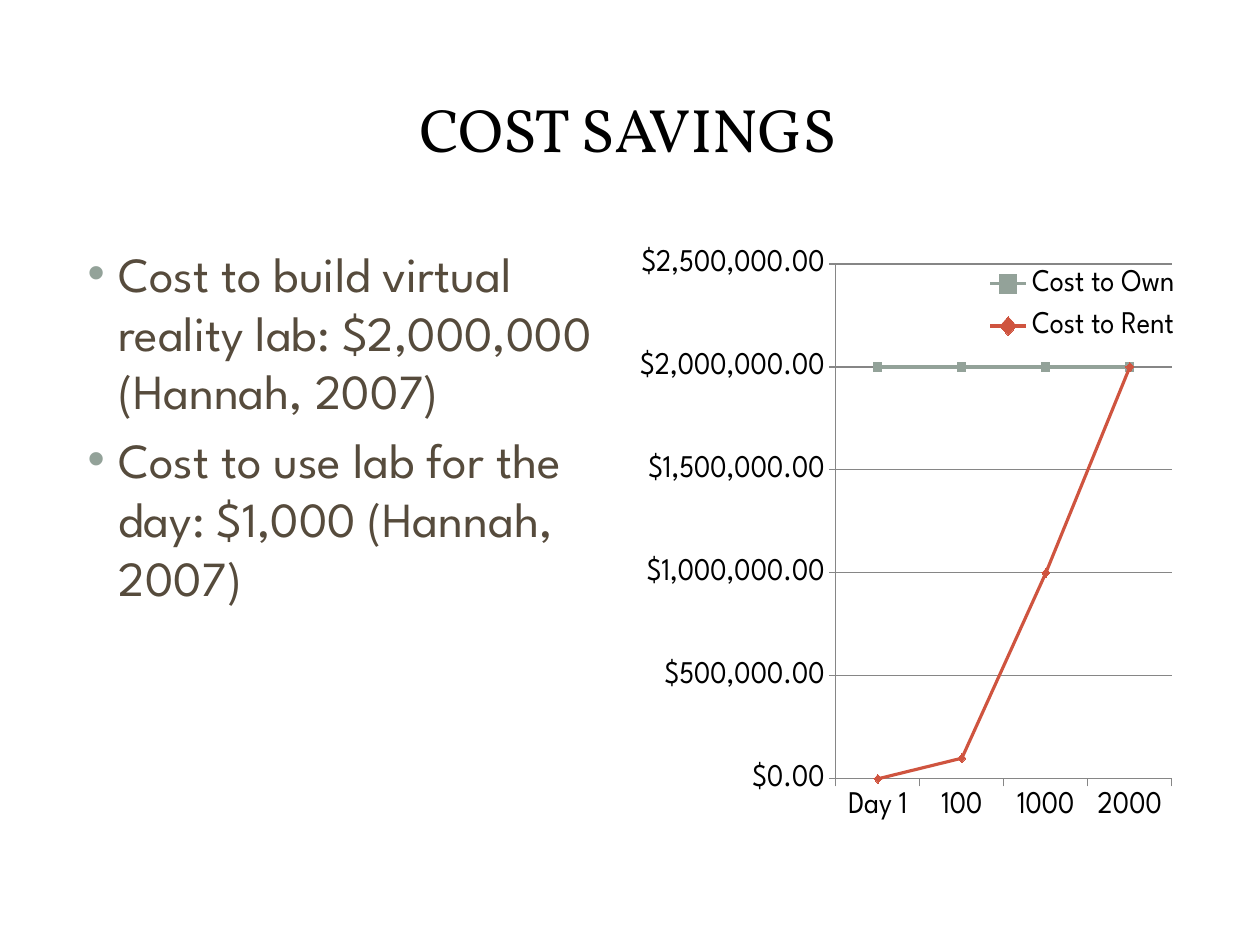
from dataclasses import dataclass

from lxml import etree
from pptx import Presentation
from pptx.chart.data import CategoryChartData
from pptx.dml.color import RGBColor
from pptx.enum.chart import XL_CHART_TYPE, XL_LEGEND_POSITION, XL_MARKER_STYLE, XL_TICK_MARK
from pptx.enum.shapes import MSO_SHAPE
from pptx.enum.text import MSO_ANCHOR, PP_ALIGN
from pptx.oxml import parse_xml
from pptx.oxml.ns import nsdecls, qn
from pptx.util import Pt

EMU_PER_PX = 914400 / 126
LINE_MARKERS = XL_CHART_TYPE.LINE_MARKERS
RIGHT = XL_LEGEND_POSITION.RIGHT
SQUARE, DIAMOND = XL_MARKER_STYLE.SQUARE, XL_MARKER_STYLE.DIAMOND
OUTSIDE = XL_TICK_MARK.OUTSIDE
RECT, ROUND_RECT = MSO_SHAPE.RECTANGLE, MSO_SHAPE.ROUNDED_RECTANGLE
CENTER, LEFT = PP_ALIGN.CENTER, PP_ALIGN.LEFT
MIDDLE, TOP = MSO_ANCHOR.MIDDLE, MSO_ANCHOR.TOP


@dataclass(frozen=True)
class Theme:
    heading_font: str = "Vollkorn"
    body_font: str = "League Spartan"
    title_size: int = 35
    body_size: int = 28
    chart_size: int = 18
    white: str = "FFFFFF"
    black: str = "000000"
    brown: str = "564B3C"
    sage: str = "93A299"
    red: str = "CF543F"
    grid: str = "868686"


THEME = Theme()


def px(n):
    return round(n * EMU_PER_PX)


def rgb(color):
    return RGBColor.from_string(color)


def place(shape, box):
    shape.left, shape.top, shape.width, shape.height = map(px, box)


def add_bullet(p, color):
    pPr = p._p.get_or_add_pPr()
    pPr.set("marL", str(px(47)))
    pPr.set("indent", str(px(-31)))
    clr = etree.SubElement(pPr, qn("a:buClr"))
    etree.SubElement(clr, qn("a:srgbClr")).set("val", color)
    etree.SubElement(pPr, qn("a:buFont")).set("typeface", "Arial")
    etree.SubElement(pPr, qn("a:buChar")).set("char", "•")


def write(tf, lines, *, font, size, color, align=LEFT, anchor=TOP, bullet=None, gap=0):
    """Fill a text frame with one paragraph per line; gap is the space between them in points."""
    tf.word_wrap = True
    tf.vertical_anchor = anchor
    for i, line in enumerate(lines):
        p = tf.paragraphs[0] if i == 0 else tf.add_paragraph()
        if bullet:
            add_bullet(p, bullet)
        p.alignment = align
        p.space_before = Pt(gap if i else 0)
        r = p.add_run()
        r.text = line
        r.font.name, r.font.size = font, Pt(size)
        r.font.bold = False
        r.font.color.rgb = rgb(color)


def backdrop(s, panels):
    """White panels behind everything else, given from back to front."""
    for i, (kind, box) in enumerate(panels):
        sp = s.shapes.add_shape(kind, *map(px, box))
        if kind == ROUND_RECT:
            sp.adjustments[0] = 0.02
        sp.shadow.inherit = False
        sp.fill.solid()
        sp.fill.fore_color.rgb = rgb(THEME.white)
        sp.line.fill.background()
        s.shapes._spTree.insert(2 + i, sp._element)


def title(s, box, text):
    place(s.shapes.title, box)
    write(s.shapes.title.text_frame, [text], font=THEME.heading_font, size=THEME.title_size,
          color=THEME.black, align=CENTER, anchor=MIDDLE)


def bullet_list(s, box, lines):
    body = s.placeholders[1]
    place(body, box)
    write(body.text_frame, lines, font=THEME.body_font, size=THEME.body_size,
          color=THEME.brown, bullet=THEME.sage, gap=5.6)


def set_layout(parent, index, part, chart_box, inner=False):
    """Fix a chart part at the box part, in px from the chart's corner."""
    for old in parent.findall(qn("c:layout")):
        parent.remove(old)
    x, y, w, h = part
    cw, ch = chart_box[2:]
    target = '<c:layoutTarget val="inner"/>' if inner else ""
    parent.insert(index, parse_xml(
        f'<c:layout {nsdecls("c")}><c:manualLayout>{target}'
        '<c:xMode val="edge"/><c:yMode val="edge"/>'
        f'<c:x val="{x / cw:.4f}"/><c:y val="{y / ch:.4f}"/>'
        f'<c:w val="{w / cw:.4f}"/><c:h val="{h / ch:.4f}"/>'
        '</c:manualLayout></c:layout>'))


def style_line(line, color, width):
    line.color.rgb = rgb(color)
    line.width = Pt(width)


def cost_chart(s, box, categories, series):
    """Line chart; series holds (name, values, color, marker) rows."""
    data = CategoryChartData(number_format='"$"#,##0.00')
    data.categories = categories
    for name, values, _, _ in series:
        data.add_series(name, values)
    chart = s.shapes.add_chart(LINE_MARKERS, *map(px, box), data).chart
    chart.has_title = False
    chart.font.name, chart.font.size = THEME.body_font, Pt(THEME.chart_size)
    chart.font.color.rgb = rgb(THEME.black)
    chart.plots[0].vary_by_categories = False

    for ser, (_, _, color, marker) in zip(chart.plots[0].series, series):
        ser.smooth = False
        style_line(ser.format.line, color, 2)
        ser.marker.style, ser.marker.size = marker, 5
        ser.marker.format.fill.solid()
        ser.marker.format.fill.fore_color.rgb = rgb(color)
        ser.marker.format.line.color.rgb = rgb(color)

    for axis in (chart.category_axis, chart.value_axis):
        axis.major_tick_mark = OUTSIDE
        style_line(axis.format.line, THEME.grid, 0.75)
    values = chart.value_axis
    values.minimum_scale, values.maximum_scale, values.major_unit = 0, 2500000, 500000
    values.tick_labels.number_format = '"$"#,##0.00'
    values.tick_labels.number_format_is_linked = False
    values.has_major_gridlines = True
    style_line(values.major_gridlines.format.line, THEME.grid, 0.75)

    chart.has_legend = True
    chart.legend.position = RIGHT
    chart.legend.include_in_layout = False
    set_layout(chart.legend._element, 1, (319, 19, 220, 98), box)
    plot_area = chart._chartSpace.chart.plotArea
    set_layout(plot_area, 0, (153, 27, 376, 515), box, inner=True)


def main():
    prs = Presentation()
    prs.slide_width, prs.slide_height = px(1260), px(945)
    s = prs.slides.add_slide(prs.slide_layouts[1])
    left, top, col_w, col_h, gap = 59, 237, 557, 607, 24
    backdrop(s, [
        (ROUND_RECT, (13, 14, 1235, 932)),
        (RECT, (38, 38, 1184, 183)),
        (RECT, (52, 52, 1155, 154)),
    ])
    title(s, (left, 56, 2 * col_w + gap, 144), "COST SAVINGS")
    bullet_list(s, (left, top, col_w, col_h), [
        "Cost to build virtual reality lab: $2,000,000 (Hannah, 2007)",
        "Cost to use lab for the day: $1,000 (Hannah, 2007)",
    ])
    cost_chart(s, (left + col_w + gap, top, col_w, col_h), ["Day 1", "100", "1000", "2000"], [
        ("Cost to Own", [2000000] * 4, THEME.sage, SQUARE),
        ("Cost to Rent", [0, 100000, 1000000, 2000000], THEME.red, DIAMOND),
    ])
    prs.save("out.pptx")


if __name__ == "__main__":
    main()
